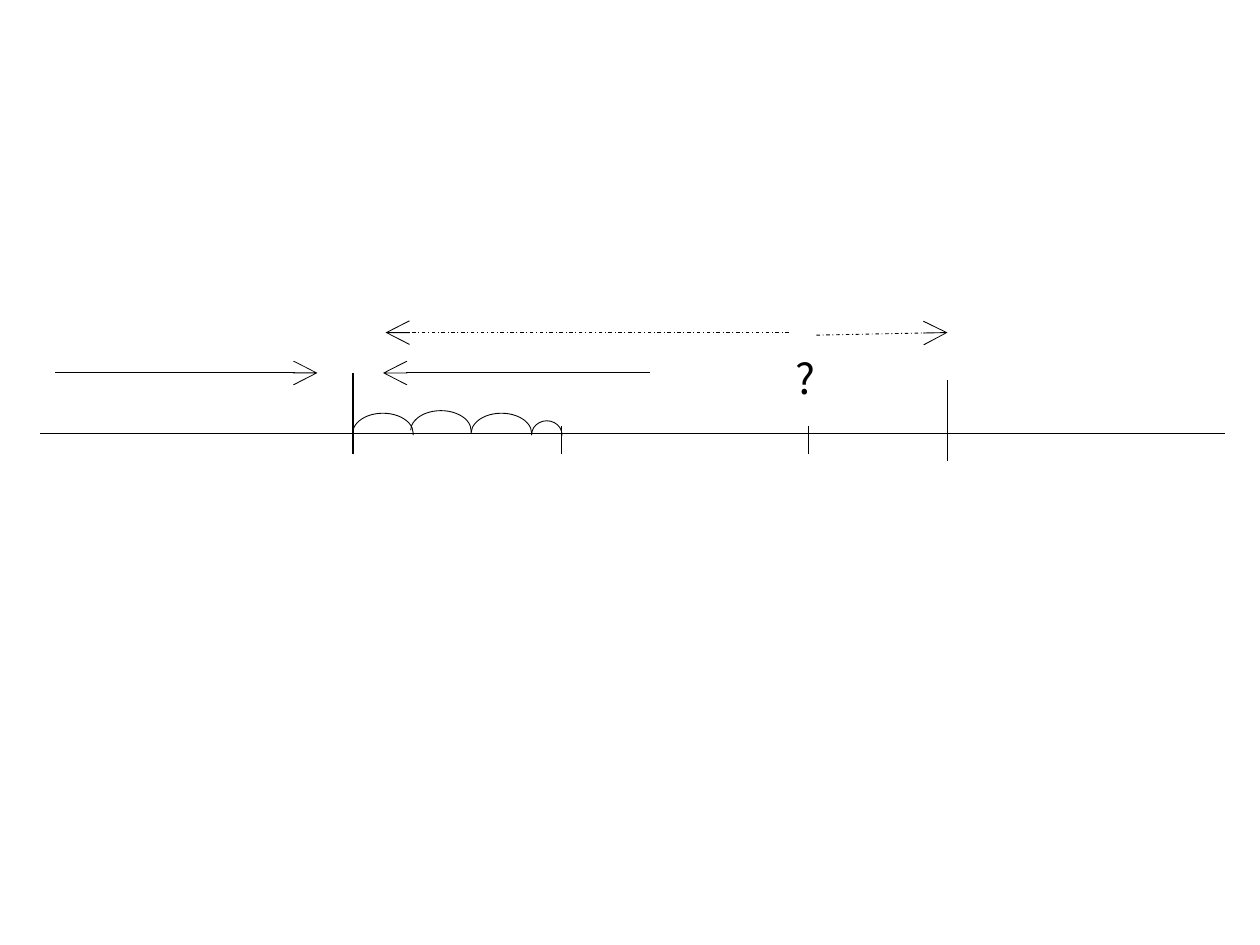
from lxml import etree
from pptx import Presentation
from pptx import util as u
from pptx.dml.color import RGBColor
from pptx.enum import dml, shapes, text
from pptx.oxml import ns

FONT = "Noto Sans CJK JP"
BLACK = "000000"


def rgb(value):
    return RGBColor.from_string(value)


def write(tf, content, size=12, font=FONT, color=BLACK):
    r = tf.paragraphs[0].add_run()
    r.text = content
    r.font.size = u.Pt(size)
    r.font.name = font
    r.font.color.rgb = rgb(color)
    # East Asian typeface, so that both scripts use the same font
    etree.SubElement(r.font._element, ns.qn("a:ea"), typeface=font)


class Diagram:
    thin, thick = 0.25, 0.5

    def __init__(self, prs):
        self.s = prs.slides.add_slide(prs.slide_layouts[6])

    def stroke(self, sp, width):
        sp.line.color.rgb = rgb(BLACK)
        sp.line.width = u.Pt(width)

    def line(self, x1, y1, x2, y2, width=thin, dashed=False, arrow=False):
        sp = self.s.shapes.add_connector(
            shapes.MSO_CONNECTOR.STRAIGHT, *map(u.Inches, (x1, y1, x2, y2)))
        self.stroke(sp, width)
        if dashed:
            sp.line.dash_style = dml.MSO_LINE.DASH_DOT
        if arrow:
            etree.SubElement(sp.line._get_or_add_ln(), ns.qn("a:tailEnd"), type="arrow")
        etree.SubElement(sp._element.spPr, ns.qn("a:effectLst"))

    def arc(self, x, y, w, h):
        sp = self.s.shapes.add_shape(
            shapes.MSO_SHAPE.ARC, *map(u.Inches, (x, y, w, h)))
        sp.adjustments[0], sp.adjustments[1] = 108.648, 2.22
        sp.shadow.inherit = False
        sp.fill.background()
        self.stroke(sp, self.thin)

    def label(self, content, x, y, w, h):
        tf = self.s.shapes.add_textbox(*map(u.Inches, (x, y, w, h))).text_frame
        tf.word_wrap = True
        tf.auto_size = text.MSO_AUTO_SIZE.SHAPE_TO_FIT_TEXT
        write(tf, content)


prs = Presentation()
prs.slide_width, prs.slide_height = u.Inches(5), u.Inches(3.75)
d = Diagram(prs)

# Number line with its short and long marks
d.line(0.16, 1.72, 4.86, 1.72)
for x in (2.23, 3.21):
    d.line(x, 1.8, x, 1.69)
for x, top, bottom in ((1.4, 1.48, 1.8), (3.76, 1.51, 1.83)):
    d.line(x, bottom, x, top, width=d.thick)

# Hops from the first long mark: three whole, one half
for x, y, w, h in ((1.4, 1.64, 0.24, 0.16), (1.63, 1.63, 0.24, 0.16),
                   (1.87, 1.64, 0.24, 0.16), (2.11, 1.67, 0.12, 0.11)):
    d.arc(x, y, w, h)

# Solid arrows towards the first long mark
for start, end in ((0.22, 1.26), (2.58, 1.52)):
    d.line(start, 1.48, end, 1.48, arrow=True)

# Dashed arrows away from the unknown point
d.line(3.24, 1.33, 3.76, 1.32, dashed=True, arrow=True)
d.line(3.13, 1.32, 1.53, 1.32, dashed=True, arrow=True)
d.label("?", 3.06, 1.35, 0.31, 0.3)

prs.save("out.pptx")
